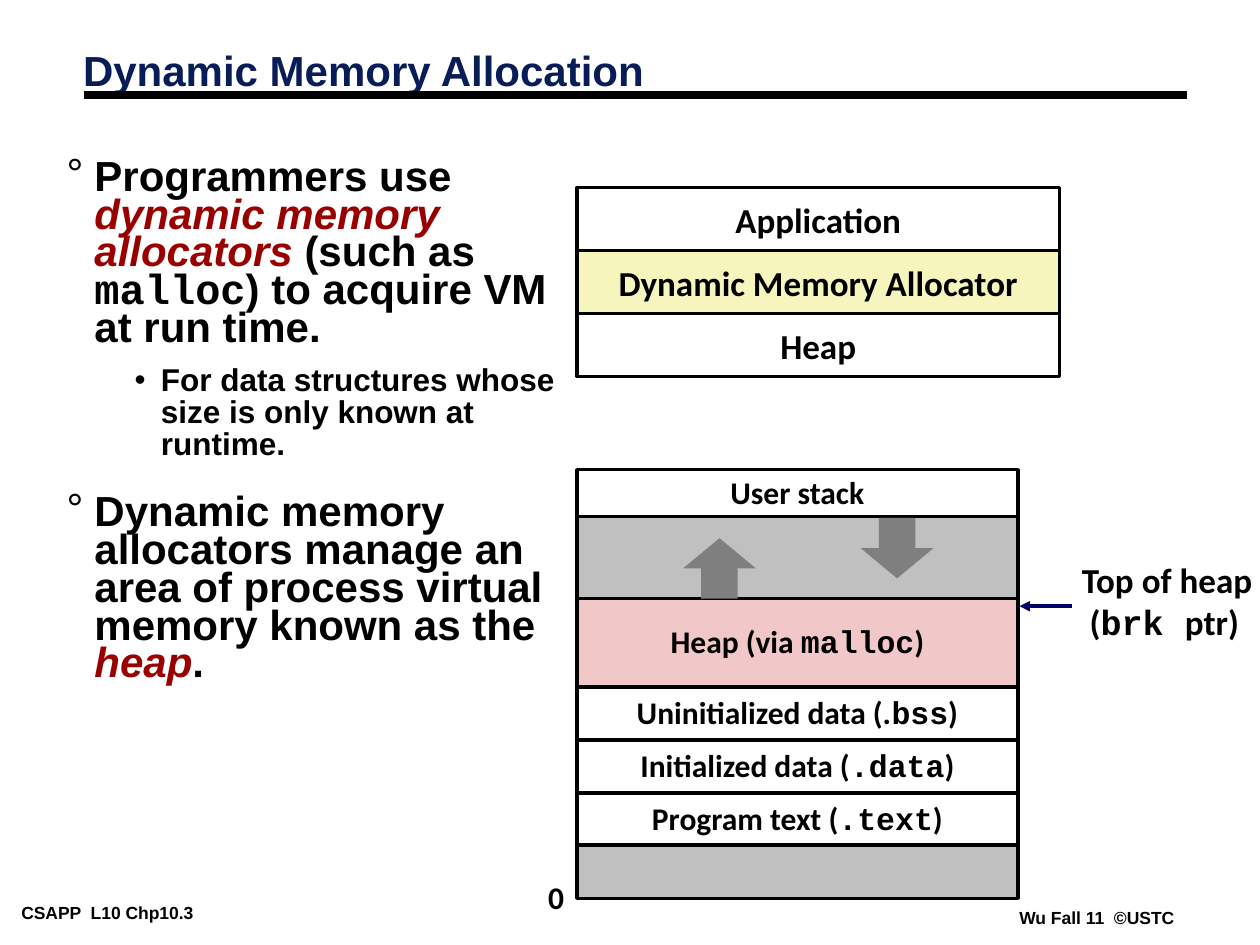
"""Build the Dynamic Memory Allocation slide."""
from dataclasses import dataclass
from typing import Optional

from lxml import etree
from pptx import Presentation
from pptx.dml.color import RGBColor
from pptx.enum.shapes import MSO_CONNECTOR, MSO_SHAPE
from pptx.enum.text import MSO_ANCHOR, MSO_AUTO_SIZE, PP_ALIGN
from pptx.oxml.ns import qn
from pptx.util import Cm, Pt

RECTANGLE, UP, DOWN = MSO_SHAPE.RECTANGLE, MSO_SHAPE.UP_ARROW, MSO_SHAPE.DOWN_ARROW
STRAIGHT = MSO_CONNECTOR.STRAIGHT
MIDDLE, LEFT, CENTER = MSO_ANCHOR.MIDDLE, PP_ALIGN.LEFT, PP_ALIGN.CENTER
NO_FIT, GROW = MSO_AUTO_SIZE.NONE, MSO_AUTO_SIZE.SHAPE_TO_FIT_TEXT


@dataclass(frozen=True)
class Theme:
    ink: str = "000000"
    title: str = "081D58"
    accent: str = "990000"
    white: str = "FFFFFF"
    gray: str = "C0C0C0"
    pink: str = "F1C7C7"
    yellow: str = "F6F5BD"
    arrow: str = "7F7F7F"
    pointer: str = "000066"
    text_font: str = "Arial"
    label_font: str = "Calibri"
    code_font: str = "Courier New"
    heading_size: float = 24
    label_size: float = 20
    detail_size: float = 18
    footer_size: float = 10


THEME = Theme()


@dataclass(frozen=True)
class Span:
    text: str
    code: bool = False
    accent: bool = False


@dataclass(frozen=True)
class Style:
    font: str
    size: float
    color: str = THEME.ink
    spacing: float = 1.0
    align: PP_ALIGN = LEFT


@dataclass(frozen=True)
class Bullet:
    spans: list[Span]
    level: int = 0
    before: float = 0


@dataclass(frozen=True)
class BulletLevel:
    mark: str
    margin: float
    hanging: float
    style: Style


@dataclass(frozen=True)
class Layer:
    spans: list[Span]
    height: float
    fill: str = THEME.white


LEVELS = [
    BulletLevel("°", 0.56, 0.56, Style(THEME.text_font, THEME.heading_size, spacing=0.75)),
    BulletLevel("•", 1.9, 0.53, Style(THEME.text_font, THEME.detail_size, spacing=0.85)),
]
BULLETS = [
    Bullet([Span("Programmers use "), Span("dynamic memory allocators ", accent=True),
            Span("(such as "), Span("malloc", code=True), Span(") to acquire VM at run time.")]),
    Bullet([Span("For data structures whose size is only known at runtime.")], 1, 9),
    Bullet([Span("Dynamic memory allocators manage an area of process virtual memory known as the "),
            Span("heap", accent=True), Span(".")], 0, 19.5),
]
SOFTWARE_LAYERS = [
    Layer([Span("Application")], 1.27),
    Layer([Span("Dynamic Memory Allocator")], 1.27, THEME.yellow),
    Layer([Span("Heap")], 1.27),
]
MEMORY_LAYERS = [
    Layer([Span("User stack")], 0.94),
    Layer([], 1.66, THEME.gray),
    Layer([Span("Heap (via "), Span("malloc", code=True), Span(")")], 1.78, THEME.pink),
    Layer([Span("Uninitialized data (."), Span("bss", code=True), Span(")")], 1.07),
    Layer([Span("Initialized data ("), Span(".data", code=True), Span(")")], 1.07),
    Layer([Span("Program text ("), Span(".text", code=True), Span(")")], 1.05),
    Layer([], 1.07, THEME.gray),
]
DIAGRAM_LEFT = 11.63


def write(para, spans: list[Span], style: Style) -> None:
    """Fill one paragraph with styled spans."""
    para.alignment = style.align
    para.line_spacing = style.spacing
    para.space_before = Pt(0)
    for span in spans:
        run = para.add_run()
        run.text = span.text
        run.font.name = THEME.code_font if span.code else style.font
        run.font.size = Pt(style.size)
        run.font.bold = True
        run.font.italic = span.accent
        run.font.color.rgb = RGBColor.from_string(THEME.accent if span.accent else style.color)


def place(box, left: float, top: float, width: float, height: float) -> None:
    """Move and size a box in centimetres."""
    box.left, box.top, box.width, box.height = Cm(left), Cm(top), Cm(width), Cm(height)


def add_label(page, left: float, top: float, width: float, height: float,
              lines: list[list[Span]], style: Style, inset: tuple[float, float] = (0.25, 0.13)) -> None:
    """Add a free text label."""
    frame = page.shapes.add_textbox(Cm(left), Cm(top), Cm(width), Cm(height)).text_frame
    frame.word_wrap = False
    frame.auto_size = GROW
    frame.margin_left = frame.margin_right = Cm(inset[0])
    frame.margin_top = frame.margin_bottom = Cm(inset[1])
    for index, spans in enumerate(lines):
        write(frame.add_paragraph() if index else frame.paragraphs[0], spans, style)


def add_block(page, kind: MSO_SHAPE, left: float, top: float, width: float, height: float, fill: str):
    """Add a flat filled shape without outline."""
    block = page.shapes.add_shape(kind, Cm(left), Cm(top), Cm(width), Cm(height))
    block.shadow.inherit = False
    block.fill.solid()
    block.fill.fore_color.rgb = RGBColor.from_string(fill)
    block.line.fill.background()
    return block


def add_stack(page, top: float, width: float, layers: list[Layer], style: Style) -> None:
    """Stack outlined layers downwards from the top."""
    for layer in layers:
        block = add_block(page, RECTANGLE, DIAGRAM_LEFT, top, width, layer.height, layer.fill)
        block.line.color.rgb = RGBColor.from_string(THEME.ink)
        block.line.width = Pt(2)
        if layer.spans:
            block.text_frame.word_wrap = False
            block.text_frame.vertical_anchor = MIDDLE
            write(block.text_frame.paragraphs[0], layer.spans, style)
        top += layer.height


def add_line(page, start: tuple[float, float], end: tuple[float, float],
             color: str, weight: float, head: Optional[str] = None) -> None:
    """Add a straight line with an optional arrowhead at its end."""
    line = page.shapes.add_connector(STRAIGHT, *map(Cm, start + end))
    line.line.color.rgb = RGBColor.from_string(color)
    line.line.width = Pt(weight)
    properties = line.element.spPr
    if head:
        etree.SubElement(properties.find(qn("a:ln")), qn("a:tailEnd"), type=head)
    etree.SubElement(properties, qn("a:effectLst"))


def add_bullets(body) -> None:
    """Write the bullet list into the body placeholder."""
    place(body, 1.09, 3.12, 10.46, 10.82)
    frame = body.text_frame
    frame.auto_size = NO_FIT
    for index, bullet in enumerate(BULLETS):
        para = frame.add_paragraph() if index else frame.paragraphs[0]
        level = LEVELS[bullet.level]
        para.level = bullet.level
        properties = para._p.get_or_add_pPr()
        properties.set("marL", str(Cm(level.margin)))
        properties.set("indent", str(-Cm(level.hanging)))
        color = etree.SubElement(properties, qn("a:buClr"))
        etree.SubElement(color, qn("a:srgbClr"), val=THEME.ink)
        etree.SubElement(properties, qn("a:buFont"), typeface=THEME.text_font)
        etree.SubElement(properties, qn("a:buChar"), char=level.mark)
        write(para, bullet.spans, level.style)
        para.space_before = Pt(bullet.before)


def main() -> None:
    """Build and save the deck."""
    deck = Presentation()
    deck.slide_width, deck.slide_height = Cm(25.4), Cm(19.05)
    page = deck.slides.add_slide(deck.slide_layouts[1])
    title, body = page.placeholders

    add_line(page, (1.7, 1.91), (23.93, 1.91), THEME.ink, 4.5)
    place(title, 1.42, 0.91, 21.08, 1.14)
    title.text_frame.auto_size = NO_FIT
    title.text_frame.vertical_anchor = MIDDLE
    write(title.text_frame.paragraphs[0], [Span("Dynamic Memory Allocation")],
          Style(THEME.text_font, THEME.heading_size, THEME.title, 0.87))
    add_bullets(body)

    add_stack(page, 3.78, 9.73, SOFTWARE_LAYERS, Style(THEME.label_font, THEME.label_size, align=CENTER))
    add_stack(page, 9.47, 8.89, MEMORY_LAYERS,
              Style(THEME.label_font, THEME.detail_size, spacing=0.98, align=CENTER))
    add_block(page, DOWN, 17.35, 10.44, 1.47, 1.22, THEME.arrow)
    add_block(page, UP, 13.77, 10.85, 1.47, 1.22, THEME.arrow)

    add_label(page, 10.8, 17.6, 0.81, 1.02, [[Span("0")]],
              Style(THEME.label_font, THEME.detail_size, spacing=0.98))
    add_label(page, 21.56, 11.18, 3.99, 1.93,
              [[Span("Top of heap")], [Span(" ("), Span("brk ", code=True), Span("ptr)")]],
              Style(THEME.label_font, THEME.label_size, spacing=0.98))
    add_line(page, (21.62, 12.22), (20.55, 12.22), THEME.pointer, 2, "triangle")

    footer = Style(THEME.text_font, THEME.footer_size)
    add_label(page, 0.25, 18.11, 5.33, 0.56, [[Span("CSAPP  L10 Chp10.3")]], footer, (0.18, 0.08))
    add_label(page, 20.37, 18.21, 3.51, 0.56, [[Span("Wu Fall 11  ©USTC")]], footer, (0.18, 0.08))
    deck.save("out.pptx")


if __name__ == "__main__":
    main()
